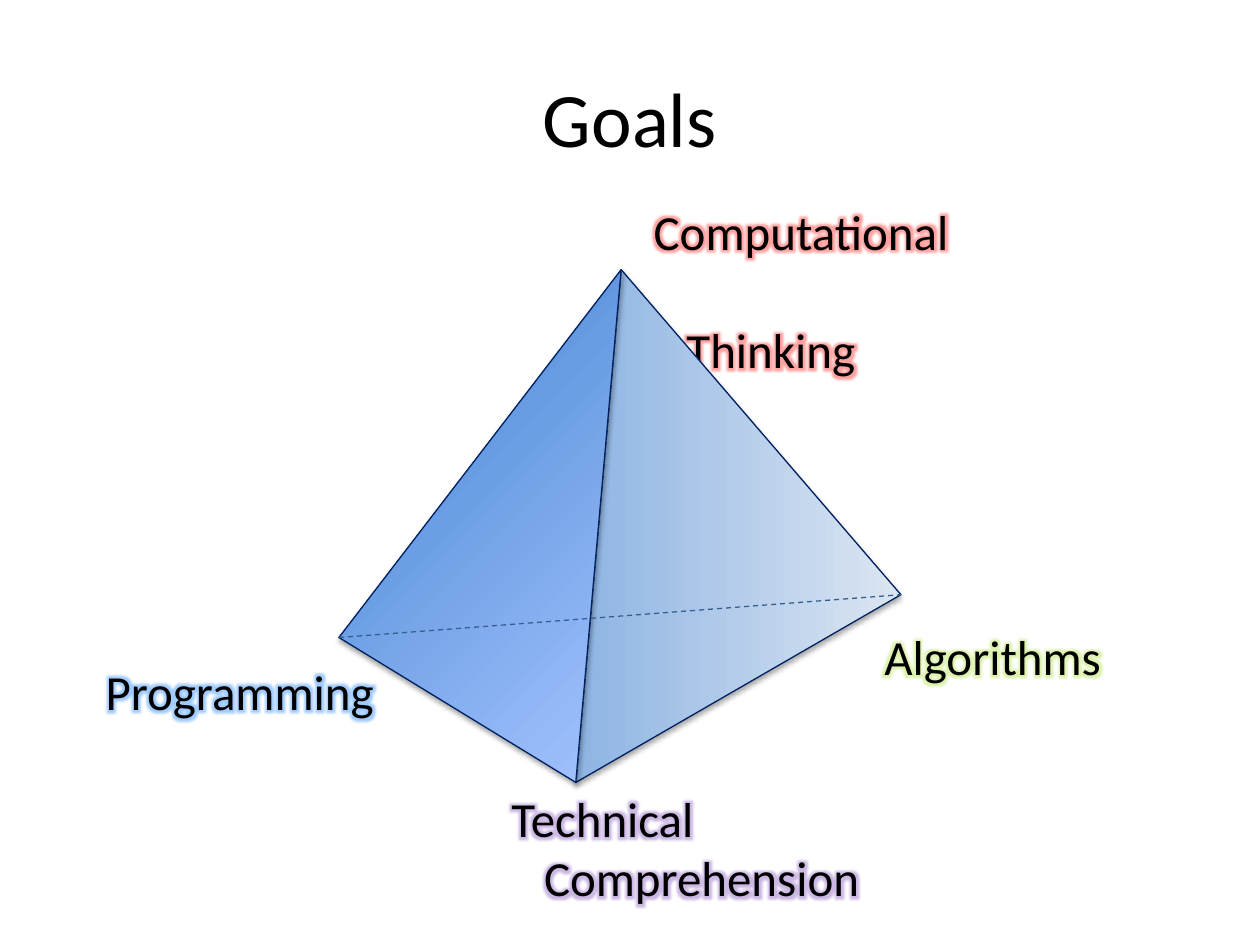
"""Build the Goals slide: a pyramid with a glowing label at each corner."""
from lxml.etree import SubElement
from pptx import Presentation
from pptx.dml.color import RGBColor
from pptx.enum.dml import MSO_LINE
from pptx.enum.shapes import MSO_CONNECTOR
from pptx.enum.text import MSO_ANCHOR, PP_ALIGN
from pptx.oxml.ns import qn
from pptx.util import Inches, Pt

BLACK = RGBColor(0x00, 0x00, 0x00)
NAVY = RGBColor(0x00, 0x20, 0x60)
STEEL = RGBColor(0x37, 0x60, 0x92)
LEFT_FACE = (RGBColor(0x3F, 0x80, 0xCE), RGBColor(0xA4, 0xC4, 0xFF))
RIGHT_FACE = (RGBColor(0x8E, 0xB4, 0xE3), RGBColor(0xDC, 0xE6, 0xF2))
RED = RGBColor(0xFA, 0x16, 0x12)
BLUE = RGBColor(0x0F, 0x7B, 0xFD)
GREEN = RGBColor(0xAB, 0xE0, 0x36)
PURPLE = RGBColor(0x7E, 0x4D, 0xB9)

TOP, LEFT, RIGHT, FRONT = (4.93, 2.14), (2.69, 5.06), (7.15, 4.72), (4.57, 6.21)


class Deck:
    def __init__(self):
        self.prs = Presentation()
        self.prs.slide_width, self.prs.slide_height = Inches(10), Inches(7.5)
        self.slide = self.prs.slides.add_slide(self.prs.slide_layouts[5])

    def font(self, p, size):
        p.font.name, p.font.size = "Calibri", Pt(size)
        p.font.color.rgb = BLACK

    def effect(self, effects, kind, color, alpha, **attrs):
        node = SubElement(effects, qn(f"a:{kind}"), {k: str(v) for k, v in attrs.items()})
        clr = SubElement(node, qn("a:srgbClr"), val=str(color))
        SubElement(clr, qn("a:alpha"), val=str(alpha * 1000))

    def title(self, text):
        sp = self.slide.shapes.title
        sp.left, sp.top, sp.width, sp.height = (Inches(v) for v in (0.5, 0.3, 9, 1.25))
        tf = sp.text_frame
        tf.text, tf.vertical_anchor = text, MSO_ANCHOR.MIDDLE
        tf.paragraphs[0].alignment = PP_ALIGN.CENTER
        self.font(tf.paragraphs[0], 44)

    def label(self, lines, box, glow, gap=0):
        tf = self.slide.shapes.add_textbox(*(Inches(v) for v in box)).text_frame
        tf.word_wrap = True
        for i, line in enumerate(lines):
            p = tf.add_paragraph() if i else tf.paragraphs[0]
            if i:
                p._p.get_or_add_pPr().set("marL", str(Inches(0.26)))
                p.space_before = Pt(gap)
            r = p.add_run()
            r.text = line
            self.font(p, 28)
            effects = SubElement(r._r.get_or_add_rPr(), qn("a:effectLst"))
            self.effect(effects, "glow", glow, 40, rad=Pt(8))

    def face(self, group, points, colors, angle):
        pts = [(Inches(x), Inches(y)) for x, y in points]
        fb = group.shapes.build_freeform(*pts[0])
        fb.add_line_segments(pts[1:], close=True)
        sp = fb.convert_to_shape()
        sp.fill.gradient()
        sp.fill.gradient_angle = angle
        for stop, color, pos in zip(sp.fill.gradient_stops, colors, (0, 1)):
            stop.color.rgb, stop.position = color, pos
        sp.line.color.rgb, sp.line.width = NAVY, Pt(0.75)
        sp.shadow.inherit = False
        effects = sp._element.spPr.find(qn("a:effectLst"))
        self.effect(effects, "outerShdw", BLACK, 35, blurRad=Pt(3.1), dist=Pt(1.8),
                    dir=5400000, rotWithShape=0)

    def edge(self, group, start, end):
        cn = group.shapes.add_connector(
            MSO_CONNECTOR.STRAIGHT, *(Inches(v) for v in start + end))
        cn.line.color.rgb, cn.line.width = STEEL, Pt(0.75)
        cn.line.dash_style = MSO_LINE.DASH
        SubElement(cn._element.spPr, qn("a:effectLst"))

    def pyramid(self):
        group = self.slide.shapes.add_group_shape()
        self.face(group, (TOP, RIGHT, FRONT), RIGHT_FACE, 0)
        self.face(group, (TOP, FRONT, LEFT), LEFT_FACE, 315)
        self.edge(group, LEFT, RIGHT)


def main():
    deck = Deck()
    deck.title("Goals")
    deck.label(["Computational", "Thinking"], (5.09, 1.55, 2.57, 1.04), RED, gap=34)
    deck.label(["Programming"], (0.74, 5.2, 2.37, 0.57), BLUE)
    deck.label(["Algorithms"], (6.92, 4.92, 1.94, 0.57), GREEN)
    deck.pyramid()
    deck.label(["Technical", "Comprehension"], (3.96, 6.21, 3, 1.04), PURPLE)
    deck.prs.save("out.pptx")


if __name__ == "__main__":
    main()
